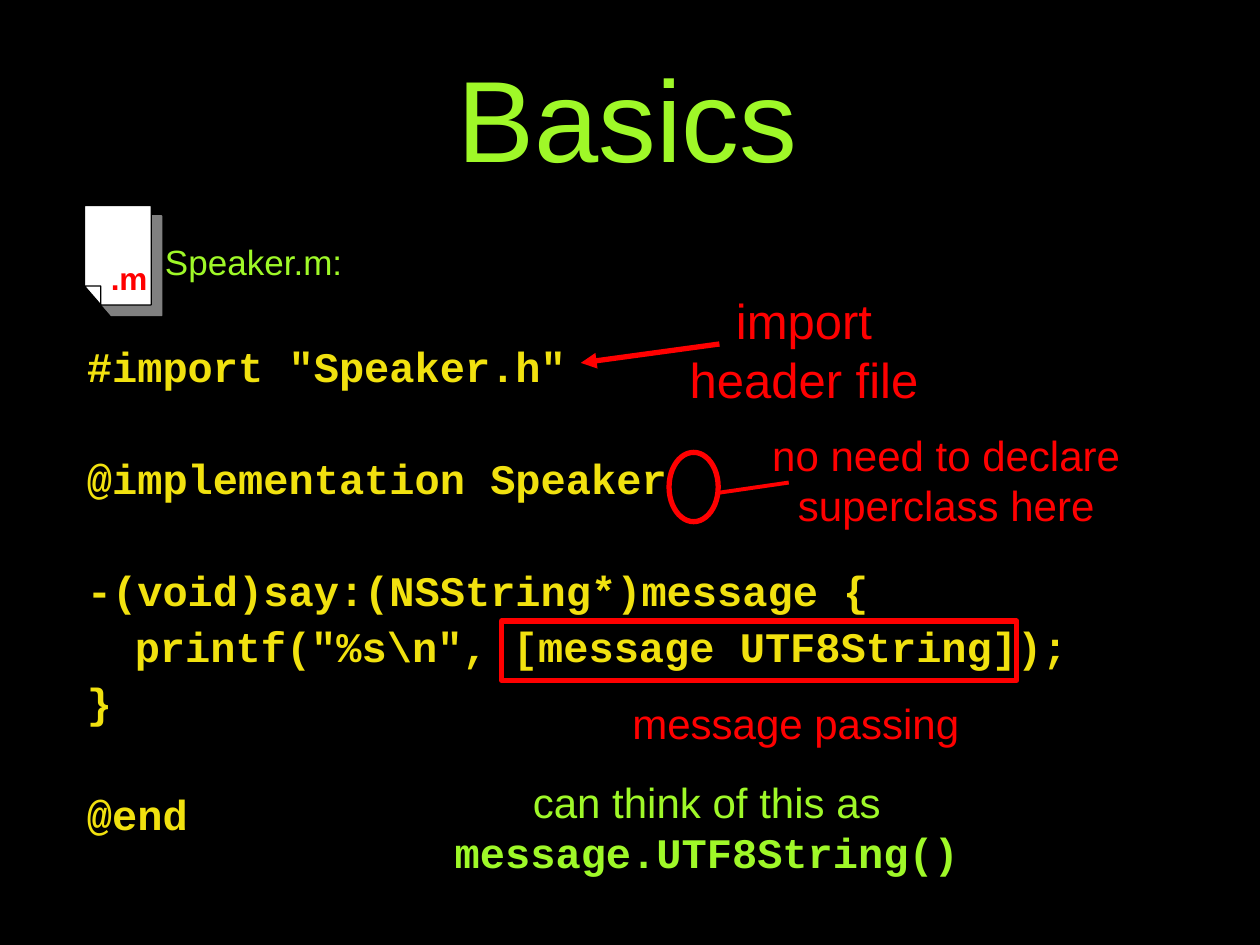
from dataclasses import dataclass

from lxml import etree
from pptx import Presentation
from pptx.dml.color import RGBColor
from pptx.enum.shapes import MSO_CONNECTOR, MSO_SHAPE
from pptx.enum.text import MSO_ANCHOR, PP_ALIGN
from pptx.oxml.ns import qn
from pptx.util import Inches, Pt

LEFT, CENTER = PP_ALIGN.LEFT, PP_ALIGN.CENTER
MIDDLE = MSO_ANCHOR.MIDDLE
OVAL, RECT = MSO_SHAPE.OVAL, MSO_SHAPE.RECTANGLE
STRAIGHT = MSO_CONNECTOR.STRAIGHT
COLS, ROWS = 100, 75
CELL = Inches(10) / COLS
BLACK, WHITE, GRAY = "000000", "FFFFFF", "808080"
GREEN, YELLOW, RED = "9FF828", "F1E10F", "FF0000"
SANS, MONO = "Arial", "Courier New"


@dataclass(frozen=True)
class Style:
    size: float
    color: str
    font: str = SANS
    bold: bool = False


@dataclass(frozen=True)
class Note:
    box: tuple
    lines: tuple
    styles: tuple
    wrap: bool = False
    align: int = CENTER


@dataclass(frozen=True)
class Code:
    text: str
    gap: int = 0
    inset: float = 0


@dataclass(frozen=True)
class Ring:
    kind: int
    box: tuple


@dataclass(frozen=True)
class Link:
    start: tuple
    end: tuple
    width: float
    arrow: bool = False


CALL = Style(24, RED)
NOTES = (
    Note((13.1, 18.6, 18, 4.4), ("Speaker.m:",), (Style(20, GREEN),), align=LEFT),
    Note((6.7, 20.1, 7.1, 4), (".m",), (Style(18, RED, bold=True),)),
    Note((52.4, 22.6, 22.8, 10.4), ("import header file",), (Style(28, RED),), wrap=True),
    Note((58.3, 33.6, 33.6, 9), ("no need to declare", "superclass here"), (CALL, CALL)),
    Note((47.2, 54.9, 31.9, 5), ("message passing",), (CALL,)),
    Note((33.1, 61.1, 46, 9), ("can think of this as", "message.UTF8String()"),
         (Style(24, GREEN), Style(24, GREEN, MONO, True))),
)
CODE = (
    Code('#import "Speaker.h"'),
    Code("@implementation Speaker", 1),
    Code("-(void)say:(NSString*)message {", 1),
    Code('printf("%s\\n", [message UTF8String]);', 0, 3.8),
    Code("}"),
    Code("@end", 1),
)
RINGS = (Ring(OVAL, (53.1, 35.9, 3.9, 5.5)), Ring(RECT, (39.8, 49.3, 40.9, 4.7)))
LINKS = (
    Link((57.1, 27.3), (46.1, 28.8), 3, True),
    Link((57.1, 39.1), (62.6, 38.3), 2.25),
)
PAGE = ((8, 24.2), (6.7, 22.7), (6.7, 16.3), (12, 16.3), (12, 24.2))
FOLD = ((6.7, 22.7), (8, 22.7), (8, 24.2))
LINE, GAP = 23, 9


def cells(values: tuple) -> list:
    """Turn grid cells into lengths."""
    return [round(value * CELL) for value in values]


def rgb(color: str) -> RGBColor:
    """Read a hex colour."""
    return RGBColor.from_string(color)


def paint(par, style: Style, align: int) -> None:
    """Format a paragraph and its runs."""
    par.alignment = align
    for run in par.runs:
        font = run.font
        font.name, font.size, font.bold = style.font, Pt(style.size), style.bold
        font.color.rgb = rgb(style.color)


def add_title(slide, text: str) -> None:
    """Place and format the title."""
    title = slide.shapes.title
    title.left, title.top, title.width, title.height = cells((5, 0.7, 90, 17.1))
    frame = title.text_frame
    frame.text = text
    frame.vertical_anchor = MIDDLE
    frame.margin_left = frame.margin_top = frame.margin_bottom = Inches(0.06)
    paint(frame.paragraphs[0], Style(66, GREEN), CENTER)


def add_note(slide, note: Note) -> None:
    """Add a label of one or more lines."""
    frame = slide.shapes.add_textbox(*cells(note.box)).text_frame
    frame.word_wrap = note.wrap
    if note.align == LEFT:
        frame.margin_left = 0
    frame.text = "\n".join(note.lines)
    for par, style in zip(frame.paragraphs, note.styles):
        paint(par, style, note.align)


def add_code(slide, lines: tuple) -> None:
    """Add the listing with even line steps."""
    frame = slide.shapes.add_textbox(*cells((6.9, 27.85, 87, 40))).text_frame
    frame.word_wrap = True
    frame.margin_left = frame.margin_top = 0
    frame.text = "\n".join(line.text for line in lines)
    for row, (par, line) in enumerate(zip(frame.paragraphs, lines)):
        paint(par, Style(24, YELLOW, MONO, True), LEFT)
        par.line_spacing = Pt(LINE)
        par.space_before = Pt(GAP + line.gap * (LINE + GAP) if row else 0)
        par._p.get_or_add_pPr().set("marL", str(round(line.inset * CELL)))


def add_page(slide, points: tuple, shade: bool) -> None:
    """Draw a closed paper outline."""
    start, *rest = [cells(point) for point in points]
    pen = slide.shapes.build_freeform(*start)
    pen.add_line_segments(rest, close=True)
    shape = pen.convert_to_shape()
    shape.shadow.inherit = False
    shape.fill.solid()
    shape.fill.fore_color.rgb = rgb(WHITE)
    shape.line.color.rgb = rgb(BLACK)
    shape.line.width = Pt(0.75)
    if shade:
        effect = shape._element.spPr.find(qn("a:effectLst"))
        drop = etree.SubElement(effect, qn("a:outerShdw"), blurRad="0",
                                dist=str(Pt(8.5)), dir="2700000",
                                algn="ctr", rotWithShape="0")
        etree.SubElement(drop, qn("a:srgbClr"), val=GRAY)


def add_ring(slide, ring: Ring) -> None:
    """Draw a red outline round a part of the code."""
    shape = slide.shapes.add_shape(ring.kind, *cells(ring.box))
    shape.shadow.inherit = False
    shape.fill.background()
    shape.line.color.rgb = rgb(RED)
    shape.line.width = Pt(3)


def add_link(slide, link: Link) -> None:
    """Draw a line or an arrow from a note."""
    wire = slide.shapes.add_connector(STRAIGHT, *cells(link.start + link.end))
    wire.line.color.rgb = rgb(RED)
    wire.line.width = Pt(link.width)
    if link.arrow:
        etree.SubElement(wire.line._get_or_add_ln(), qn("a:tailEnd"), type="triangle")
    etree.SubElement(wire._element.spPr, qn("a:effectLst"))


def main() -> None:
    """Build the slide and save it."""
    deck = Presentation()
    deck.slide_width, deck.slide_height = cells((COLS, ROWS))
    slide = deck.slides.add_slide(deck.slide_layouts[5])
    back = slide.background.fill
    back.solid()
    back.fore_color.rgb = rgb(BLACK)
    add_title(slide, "Basics")
    add_code(slide, CODE)
    add_page(slide, PAGE, True)
    add_page(slide, FOLD, False)
    for note in NOTES:
        add_note(slide, note)
    for ring in RINGS:
        add_ring(slide, ring)
    for link in LINKS:
        add_link(slide, link)
    deck.save("out.pptx")


if __name__ == "__main__":
    main()
